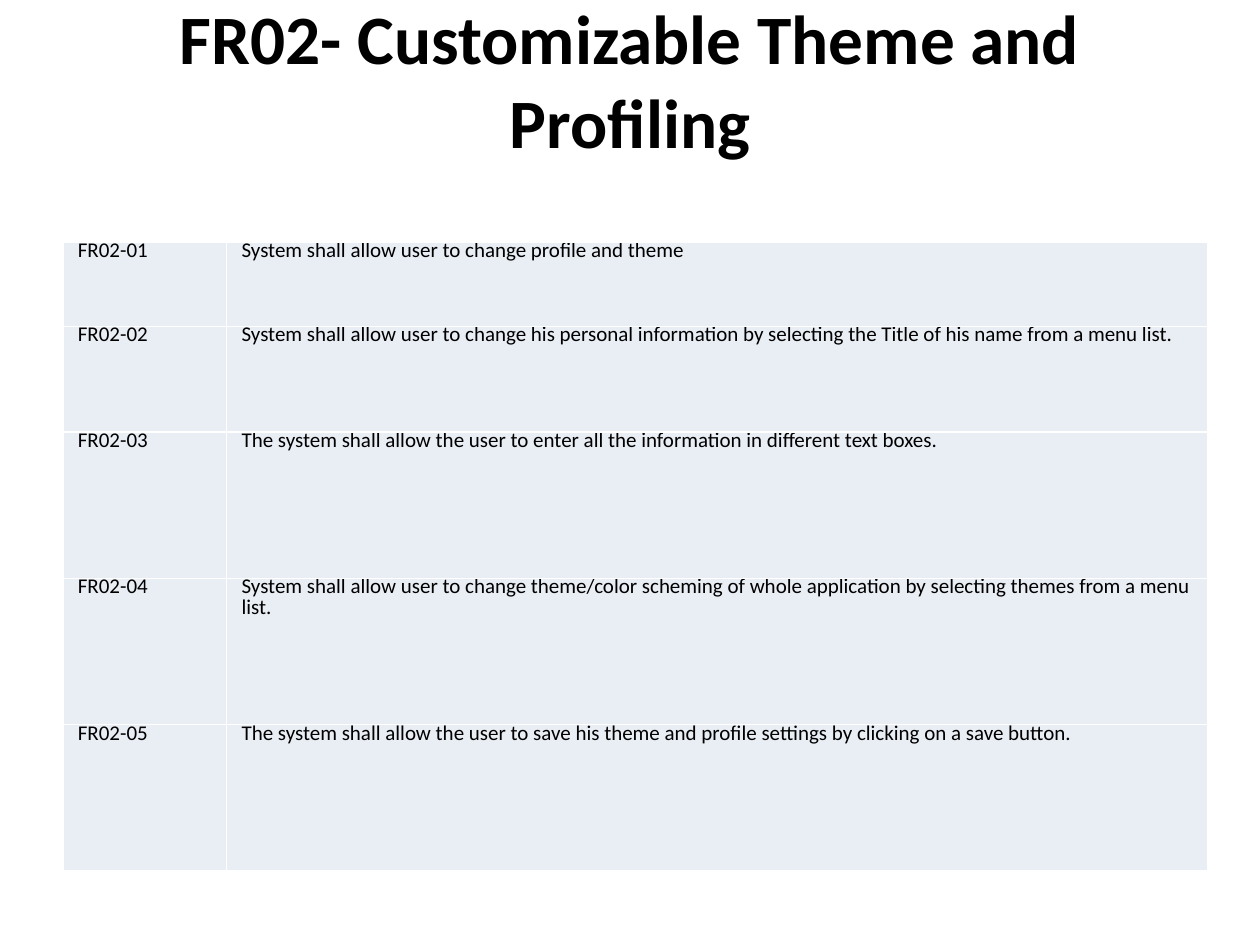
from dataclasses import dataclass
from lxml.etree import SubElement
from pptx import Presentation
from pptx.dml.color import RGBColor
from pptx.enum.text import MSO_ANCHOR, MSO_AUTO_SIZE, PP_ALIGN
from pptx.oxml.ns import qn
from pptx.util import Cm, Pt


@dataclass(frozen=True)
class Theme:
    face: str = "Calibri"
    ink: str = "000000"
    band: str = "E9EDF4"
    rule: str = "FFFFFF"
    head: float = 39.6
    body: float = 12
    line: float = 1


def apply(item, form):
    for name, value in form.items():
        setattr(item, name, value)


class Deck:
    def __init__(self, theme):
        self.theme = theme
        self.show = Presentation()
        apply(self.show, {"slide_width": Cm(25.4), "slide_height": Cm(19.05)})
        self.slide = self.show.slides.add_slide(self.show.slide_layouts[5])

    def style(self, font, size, bold=False):
        apply(font, {"name": self.theme.face, "size": Pt(size), "bold": bold})
        font.color.rgb = RGBColor.from_string(self.theme.ink)

    def title(self, text, box):
        shape = self.slide.shapes.title
        names = ("left", "top", "width", "height")
        apply(shape, dict(zip(names, map(Cm, box))))
        frame = shape.text_frame
        apply(frame, {
            "text": text,
            "word_wrap": True,
            "auto_size": MSO_AUTO_SIZE.NONE,
            "vertical_anchor": MSO_ANCHOR.MIDDLE,
            "margin_bottom": Cm(1.65),
        })
        para = frame.paragraphs[0]
        para.alignment = PP_ALIGN.CENTER
        self.style(para.runs[0].font, self.theme.head, True)

    def edge(self, cell):
        props = cell._tc.get_or_add_tcPr()
        for side in ("lnL", "lnR", "lnT", "lnB"):
            line = SubElement(props, qn(f"a:{side}"), w=str(Pt(self.theme.line)))
            fill = SubElement(line, qn("a:solidFill"))
            SubElement(fill, qn("a:srgbClr"), val=self.theme.rule)

    def cell(self, cell, text):
        self.edge(cell)
        cell.fill.solid()
        cell.fill.fore_color.rgb = RGBColor.from_string(self.theme.band)
        apply(cell, {
            "text": text,
            "vertical_anchor": MSO_ANCHOR.TOP,
            "margin_left": Cm(0.3),
            "margin_right": Cm(0.3),
            "margin_top": 0,
            "margin_bottom": 0,
        })
        para = cell.text_frame.paragraphs[0]
        para.line_spacing = Pt(self.theme.body)
        self.style(para.runs[0].font, self.theme.body)

    def table(self, rows, left, top, wide, high):
        frame = self.slide.shapes.add_table(
            len(rows), len(wide), Cm(left), Cm(top), Cm(sum(wide)), Cm(sum(high)))
        grid = frame.table
        apply(grid, {"first_row": False, "horz_banding": False})
        for col, size in zip(grid.columns, wide):
            col.width = Cm(size)
        for row, size, texts in zip(grid.rows, high, rows):
            row.height = Cm(size)
            for cell, text in zip(row.cells, texts):
                self.cell(cell, text)


def main():
    needs = [
        "System shall allow user to change profile and theme",
        "System shall allow user to change his personal information by "
        "selecting the Title of his name from a menu list.",
        "The system shall allow the user to enter all the information in "
        "different text boxes.",
        "System shall allow user to change theme/color scheming of whole "
        "application by selecting themes from a menu list.",
        "The system shall allow the user to save his theme and profile "
        "settings by clicking on a save button.",
    ]
    rows = [(f"FR02-{num:02}", need) for num, need in enumerate(needs, 1)]
    deck = Deck(Theme())
    deck.title("FR02- Customizable Theme and Profiling", (1.27, 0.76, 22.86, 3.18))
    deck.table(rows, 1.27, 4.88, (3.3, 19.78), (1.7, 2.13, 2.95, 2.95, 2.95))
    deck.show.save("out.pptx")


if __name__ == "__main__":
    main()
